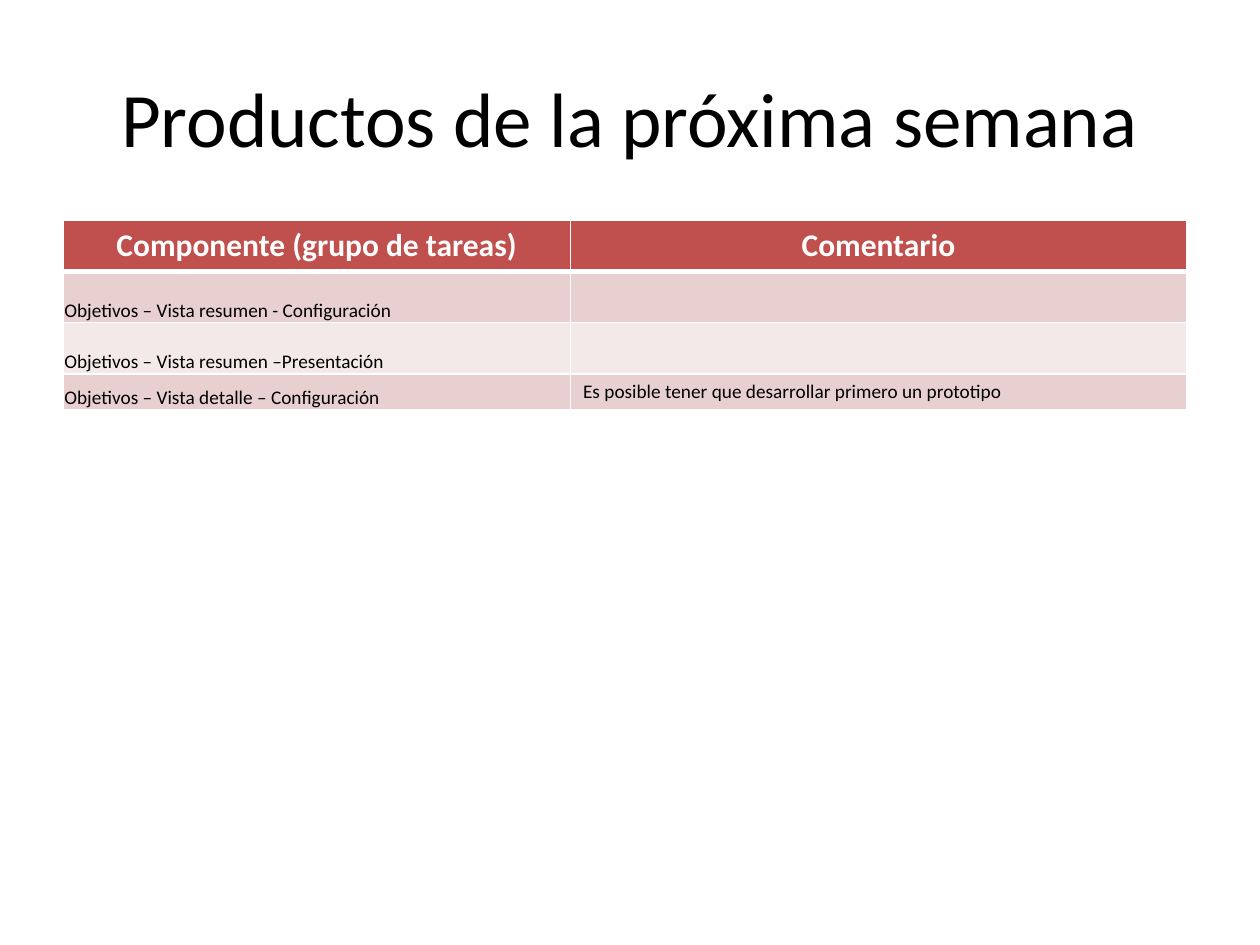
"""Build the slide listing next week's products in a two-column table."""
from dataclasses import dataclass

from lxml.etree import SubElement
from pptx import Presentation
from pptx.dml.color import RGBColor
from pptx.enum.text import MSO_ANCHOR, PP_ALIGN
from pptx.oxml.ns import qn
from pptx.table import Table, _Cell
from pptx.text.text import TextFrame
from pptx.util import Pt

FONT = "Calibri"
COLORS = {
    "white": "FFFFFF",
    "black": "000000",
    "header": "C0504D",
    "odd": "E8D0D0",
    "even": "F4E9E9",
}
COLUMN_WIDTHS = (290, 352)


@dataclass
class ProductRow:
    component: str
    comment: str
    height: float


HEADER = ProductRow("Componente (grupo de tareas)", "Comentario", 28.8)
PRODUCTS = (
    ProductRow("Objetivos – Vista resumen - Configuración", "", 29.2),
    ProductRow("Objetivos – Vista resumen –Presentación", "", 29.2),
    ProductRow(
        "Objetivos – Vista detalle – Configuración",
        "Es posible tener que desarrollar primero un prototipo",
        19.8,
    ),
)


def write_text(frame: TextFrame, text: str, size: float, color: str,
               bold: bool = False, centered: bool = False) -> None:
    """Set the text of a frame and format its runs."""
    frame.text = text
    for paragraph in frame.paragraphs:
        paragraph.alignment = PP_ALIGN.CENTER if centered else PP_ALIGN.LEFT
        for span in paragraph.runs:
            span.font.name = FONT
            span.font.size = Pt(size)
            span.font.bold = bold
            span.font.color.rgb = RGBColor.from_string(COLORS[color])


def set_borders(cell: _Cell, top: float, bottom: float) -> None:
    """Draw white borders, one point wide at the sides."""
    properties = cell._tc.get_or_add_tcPr()
    widths = {"a:lnL": 1, "a:lnR": 1, "a:lnT": top, "a:lnB": bottom}
    for tag, width in widths.items():
        line = SubElement(properties, qn(tag), w=str(Pt(width)))
        fill = SubElement(line, qn("a:solidFill"))
        SubElement(fill, qn("a:srgbClr"), val=COLORS["white"])


def fill_cell(cell: _Cell, fill: str, top: float = 1, bottom: float = 1) -> None:
    """Give a cell its borders and background."""
    set_borders(cell, top, bottom)
    cell.fill.solid()
    cell.fill.fore_color.rgb = RGBColor.from_string(COLORS[fill])


def draw_header(table: Table) -> None:
    """Write the heading row."""
    table.rows[0].height = Pt(HEADER.height)
    for column, text in enumerate((HEADER.component, HEADER.comment)):
        cell = table.cell(0, column)
        fill_cell(cell, "header", bottom=3)
        write_text(cell.text_frame, text, 18, "white", bold=True, centered=True)


def draw_product(table: Table, index: int, product: ProductRow) -> None:
    """Write one product row, with its component resting on the cell bottom."""
    table.rows[index].height = Pt(product.height)
    for column, text in enumerate((product.component, product.comment)):
        cell = table.cell(index, column)
        fill_cell(cell, "odd" if index % 2 else "even", top=3 if index == 1 else 1)
        if text:
            write_text(cell.text_frame, text, 11, "black")
    component = table.cell(index, 0)
    component.vertical_anchor = MSO_ANCHOR.BOTTOM
    component.margin_left = component.margin_right = component.margin_top = Pt(0.75)
    component.margin_bottom = Pt(0)


def main() -> None:
    """Create and save the deck."""
    deck = Presentation()
    deck.slide_width, deck.slide_height = Pt(720), Pt(540)
    page = deck.slides.add_slide(deck.slide_layouts[5])

    title = page.shapes.title
    title.left, title.top, title.width, title.height = Pt(36), Pt(21.6), Pt(648), Pt(90)
    title.text_frame.vertical_anchor = MSO_ANCHOR.MIDDLE
    write_text(title.text_frame, "Productos de la próxima semana", 44, "black",
               centered=True)

    height = sum(row.height for row in (HEADER, *PRODUCTS))
    table = page.shapes.add_table(
        len(PRODUCTS) + 1, len(COLUMN_WIDTHS),
        Pt(36), Pt(126), Pt(sum(COLUMN_WIDTHS)), Pt(height),
    ).table
    for column, width in zip(table.columns, COLUMN_WIDTHS):
        column.width = Pt(width)
    draw_header(table)
    for index, product in enumerate(PRODUCTS, start=1):
        draw_product(table, index, product)

    deck.save("out.pptx")


if __name__ == "__main__":
    main()
